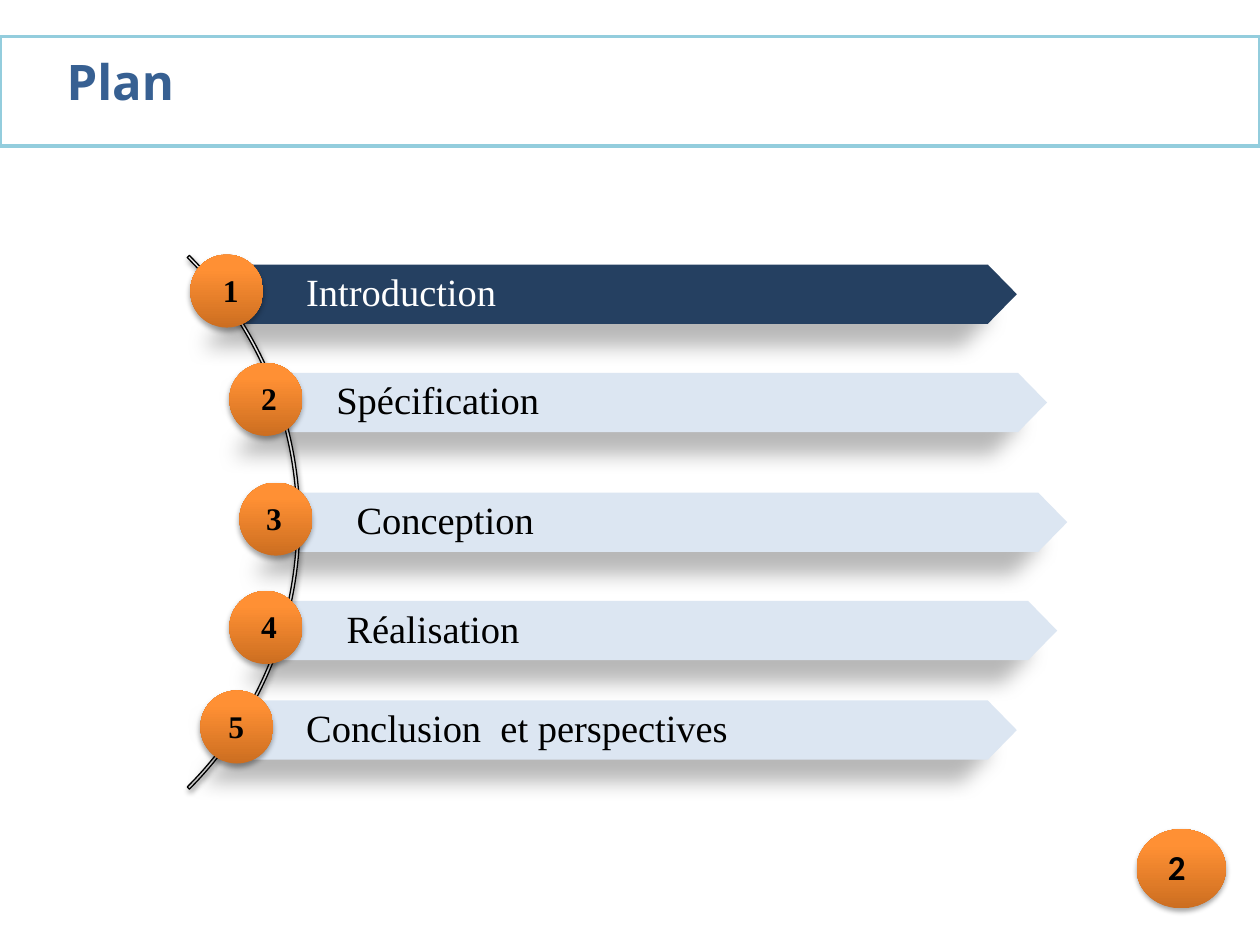
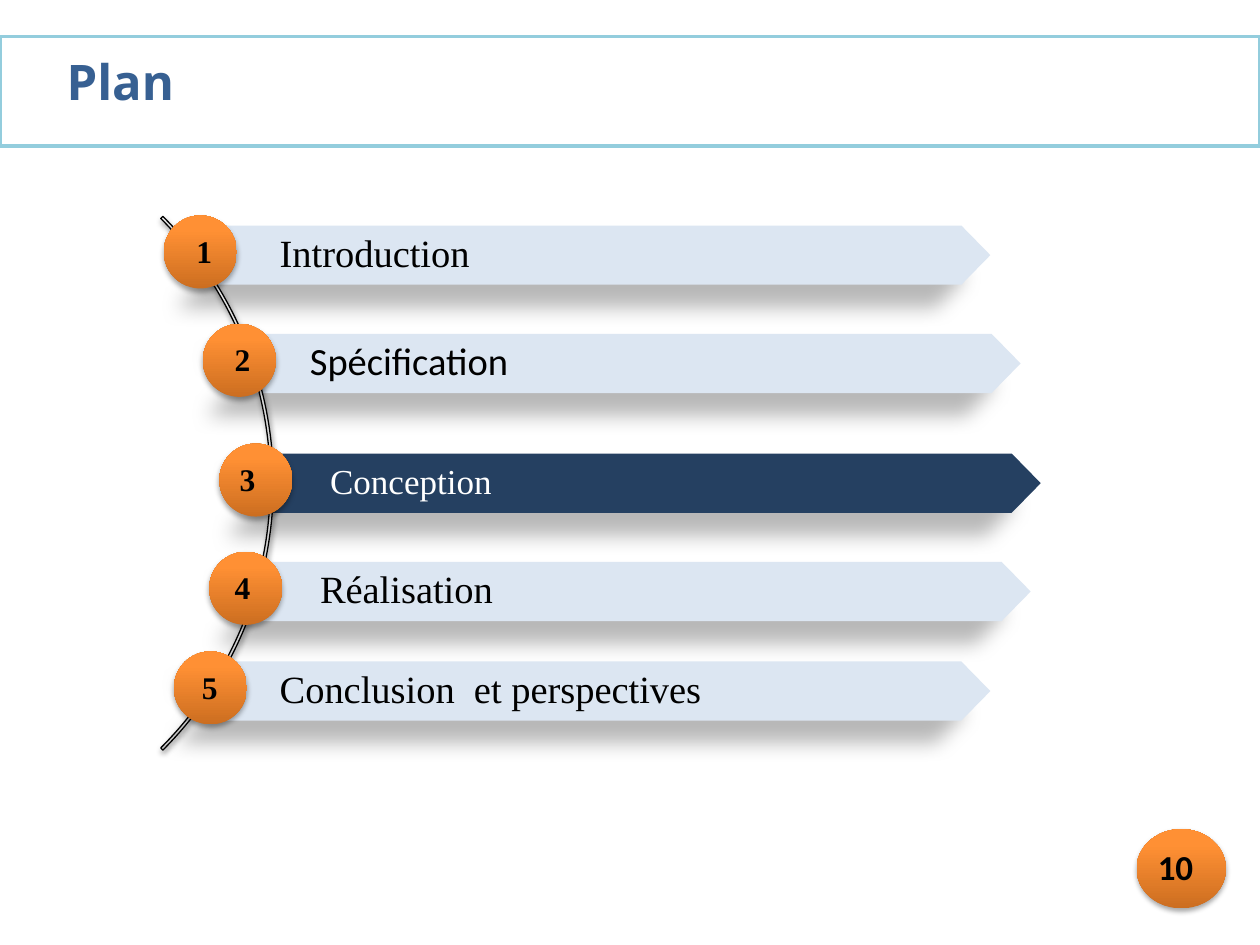
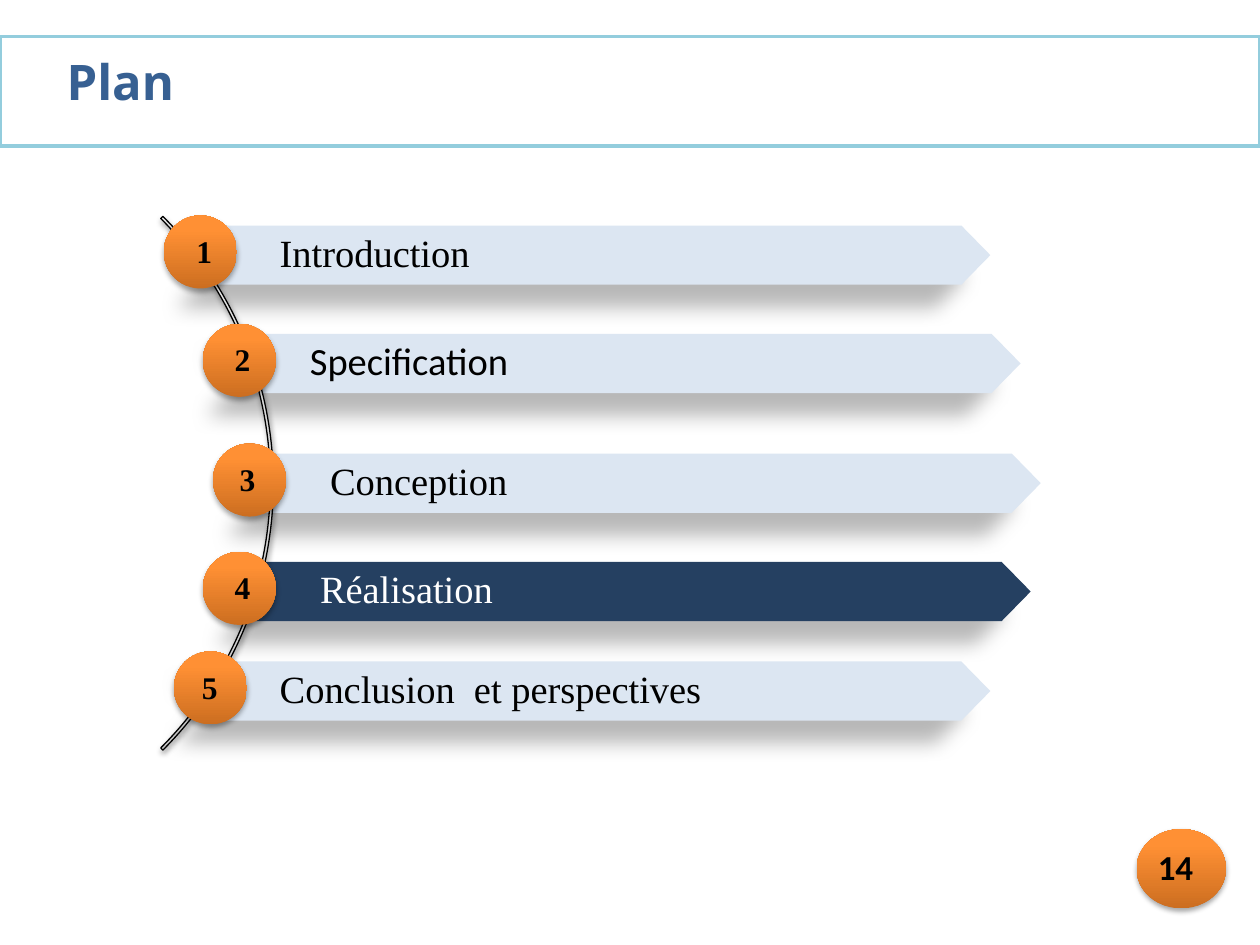
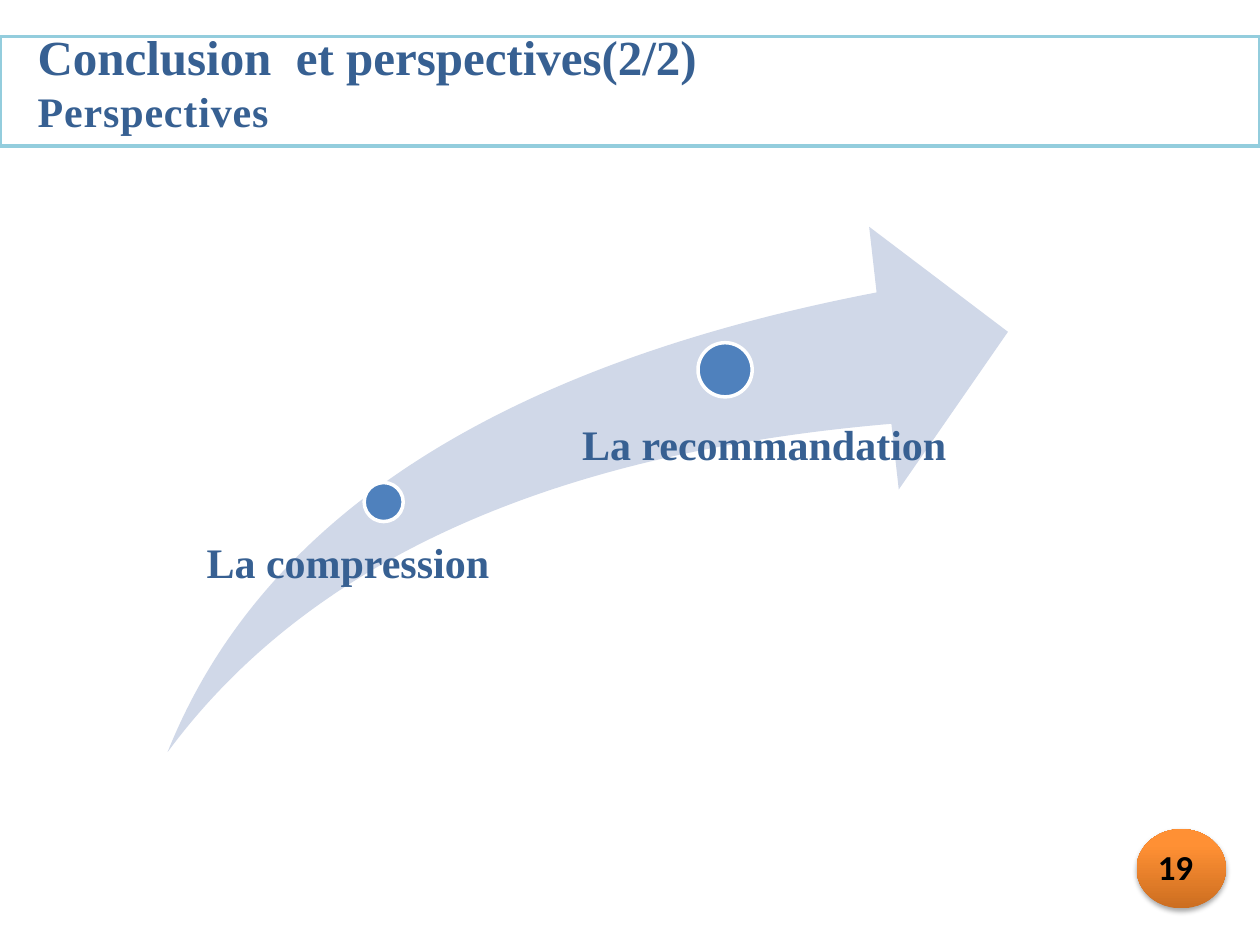
from dataclasses import dataclass, field

from lxml.etree import SubElement
from pptx import Presentation
from pptx.dml.color import RGBColor
from pptx.enum.shapes import MSO_SHAPE as Preset
from pptx.enum.text import MSO_ANCHOR as Anchor, MSO_AUTO_SIZE as AutoSize, PP_ALIGN as Align
from pptx.oxml.ns import qn
from pptx.shapes.autoshape import Shape
from pptx.slide import Slide
from pptx.text.text import TextFrame
from pptx.util import Inches, Pt


# Shared look
@dataclass(frozen=True)
class Shadow:
    opacity: int
    blur: float
    distance: float
    angle: int


@dataclass(frozen=True)
class Theme:
    white: str = "FFFFFF"
    black: str = "000000"
    navy: str = "254061"
    pale: str = "DCE6F2"
    heading: str = "376092"
    frame: str = "93CDDD"
    arrow: str = "D0D8E8"
    dot: str = "4F81BD"
    orange: tuple = ((0, "CC6E20"), (80, "FF9034"), (100, "FF9136"))
    grey: tuple = ((0, "BDBDBD"), (35, "D1D1D1"), (100, "EEEEEE"))
    serif: str = "Times New Roman"
    sans: str = "Calibri"
    display: str = "Open Sans"
    title_size: float = 28
    subtitle_size: float = 24
    label_size: float = 22
    page_size: float = 20
    number_size: float = 18
    bar_shadow: Shadow = Shadow(28, 11.8, 19.7, 141)
    disc_shadow: Shadow = Shadow(35, 3.1, 1.8, 90)
    arc_shadow: Shadow = Shadow(38, 3.1, 1.6, 90)


THEME = Theme()


# Agenda geometry, measured on the first agenda slide
@dataclass(frozen=True)
class Step:
    label: str
    left: float
    top: float
    disc_left: float
    number_left: float
    number_width: float


@dataclass(frozen=True)
class Agenda:
    page: int
    current: int
    shift: tuple[float, float] = (0, 0)
    disc_nudges: dict[int, float] = field(default_factory=dict)
    labels: dict[int, str] = field(default_factory=dict)
    fonts: dict[int, str] = field(default_factory=dict)
    sizes: dict[int, float] = field(default_factory=dict)


STEPS = (
    Step("Introduction", 1.82, 2.1, 1.51, 1.67, 0.24),
    Step("Spécification", 2.06, 2.96, 1.82, 1.9, 0.47),
    Step("Conception", 2.22, 3.91, 1.9, 1.98, 0.39),
    Step("Réalisation", 2.14, 4.77, 1.82, 1.9, 0.47),
    Step("Conclusion  et perspectives", 1.82, 5.56, 1.59, 1.67, 0.41),
)
SHIFT = (-0.21, -0.31)
AGENDAS = (
    Agenda(2, 1),
    Agenda(10, 3, SHIFT, disc_nudges={3: 0.05, 4: 0.05},
           fonts={2: THEME.sans}, sizes={3: 20}),
    Agenda(14, 4, SHIFT, labels={2: "Specification"}, fonts={2: THEME.sans}),
)
BAR_WIDTH, BAR_HEIGHT, BAR_TIP = 6.25, 0.47, 0.23
DISC_SIZE, DISC_RISE = 0.58, 0.08


# Formatting helpers
def apply_shadow(shape: Shape, shadow: Shadow | None) -> None:
    shape.shadow.inherit = False
    if shadow:
        effects = shape.element.spPr.find(qn("a:effectLst"))
        outer = SubElement(effects, qn("a:outerShdw"), blurRad=str(Pt(shadow.blur)),
                           dist=str(Pt(shadow.distance)), dir=str(shadow.angle * 60000),
                           algn="ctr", rotWithShape="0")
        color = SubElement(outer, qn("a:srgbClr"), val=THEME.black)
        SubElement(color, qn("a:alpha"), val=str(shadow.opacity * 1000))


def apply_gradient(shape: Shape, stops: tuple) -> None:
    shape.fill.gradient()
    gradient = shape.element.spPr.find(qn("a:gradFill"))
    stop_list = gradient.find(qn("a:gsLst"))
    for stop in list(stop_list):
        stop_list.remove(stop)
    for position, color in stops:
        stop = SubElement(stop_list, qn("a:gs"), pos=str(position * 1000))
        SubElement(stop, qn("a:srgbClr"), val=color)
    gradient.find(qn("a:lin")).set("ang", str(270 * 60000))


def style(shape: Shape, fill: str | tuple, line: str | None = None,
          line_width: float = 0, shadow: Shadow | None = None) -> Shape:
    if isinstance(fill, tuple):
        apply_gradient(shape, fill)
    else:
        shape.fill.solid()
        shape.fill.fore_color.rgb = RGBColor.from_string(fill)
    if line:
        shape.line.color.rgb = RGBColor.from_string(line)
        shape.line.width = Pt(line_width)
    else:
        shape.line.fill.background()
    apply_shadow(shape, shadow)
    return shape


def add_preset(slide: Slide, preset: Preset, left: float, top: float,
               width: float, height: float, fill: str | tuple, **look) -> Shape:
    shape = slide.shapes.add_shape(preset, Inches(left), Inches(top),
                                   Inches(width), Inches(height))
    return style(shape, fill, **look)


def write(frame: TextFrame, text: str, *, size: float, font: str = THEME.serif,
          color: str = THEME.black, bold: bool = False, align: Align = Align.LEFT,
          line_spacing: float | None = None, tracking: float = 0) -> None:
    para = frame.paragraphs[0]
    if para.runs:
        para = frame.add_paragraph()
    para.alignment = align
    if line_spacing:
        para.line_spacing = line_spacing
    span = para.add_run()
    span.text = text
    span.font.name = font
    span.font.size = Pt(size)
    span.font.bold = bold
    span.font.color.rgb = RGBColor.from_string(color)
    if tracking:
        span.font._element.set("spc", str(round(tracking * 100)))


def set_insets(frame: TextFrame, left: float, top: float, right: float, bottom: float) -> None:
    frame.margin_left, frame.margin_top = Inches(left), Inches(top)
    frame.margin_right, frame.margin_bottom = Inches(right), Inches(bottom)


def add_box(slide: Slide, left: float, top: float, width: float, height: float,
            grow: bool = True) -> TextFrame:
    box = slide.shapes.add_textbox(Inches(left), Inches(top), Inches(width), Inches(height))
    frame = box.text_frame
    frame.word_wrap = True
    frame.auto_size = AutoSize.SHAPE_TO_FIT_TEXT if grow else AutoSize.NONE
    return frame


# Parts found on every slide
def add_band(slide: Slide) -> None:
    add_preset(slide, Preset.RECTANGLE, 0, 0.29, 10, 0.87, THEME.white,
               line=THEME.frame, line_width=2)


def add_page_badge(slide: Slide, page: int) -> None:
    add_preset(slide, Preset.OVAL, 9.02, 6.58, 0.71, 0.63, THEME.orange,
               shadow=THEME.disc_shadow)
    left, width = (9.17, 0.39) if page < 10 else (9.09, 0.55)
    write(add_box(slide, left, 6.66, width, 0.44), str(page),
          size=THEME.page_size, font=THEME.sans, bold=True)


# Agenda parts
def add_bar(slide: Slide, left: float, top: float, fill: str) -> TextFrame:
    right, middle, bottom = left + BAR_WIDTH, top + BAR_HEIGHT / 2, top + BAR_HEIGHT
    outline = [(right - BAR_TIP, top), (right, middle), (right - BAR_TIP, bottom),
               (left, bottom), (left + BAR_TIP, middle)]
    builder = slide.shapes.build_freeform(Inches(left), Inches(top))
    builder.add_line_segments([(Inches(x), Inches(y)) for x, y in outline], close=True)
    bar = style(builder.convert_to_shape(), fill, shadow=THEME.bar_shadow)
    frame = bar.text_frame
    frame.word_wrap = True
    frame.vertical_anchor = Anchor.MIDDLE
    set_insets(frame, 0.61, 0.06, 0.3, 0.06)
    return frame


def build_agenda(slide: Slide, agenda: Agenda) -> None:
    add_band(slide)
    write(add_box(slide, 0.43, 0.36, 4.49, 0.57), "Plan", size=THEME.title_size,
          font=THEME.display, color=THEME.heading, bold=True)
    shift_x, shift_y = agenda.shift

    # Bars
    for number, step in enumerate(STEPS, 1):
        current = number == agenda.current
        frame = add_bar(slide, step.left + shift_x, step.top + shift_y,
                        THEME.navy if current else THEME.pale)
        write(frame, agenda.labels.get(number, step.label),
              size=agenda.sizes.get(number, THEME.label_size),
              font=agenda.fonts.get(number, THEME.serif),
              color=THEME.white if current else THEME.black, line_spacing=0.9)

    # Arc behind the numbered discs
    arc = add_preset(slide, Preset.BLOCK_ARC, -3.61 + shift_x, 1.15 + shift_y, 5.99, 5.99,
                     THEME.grey, line=THEME.black, line_width=0.75, shadow=THEME.arc_shadow)
    for index, value in enumerate((189, 27, 0.004)):
        arc.adjustments[index] = value

    # Numbered discs
    for number, step in enumerate(STEPS, 1):
        top = step.top + shift_y
        disc_left = step.disc_left + shift_x + agenda.disc_nudges.get(number, 0)
        add_preset(slide, Preset.OVAL, disc_left, top - DISC_RISE, DISC_SIZE, DISC_SIZE,
                   THEME.orange, shadow=THEME.disc_shadow)
        write(add_box(slide, step.number_left + shift_x, top, step.number_width, 0.4),
              str(number), size=THEME.number_size, bold=True, align=Align.CENTER)
    add_page_badge(slide, agenda.page)


# Closing slide
def build_outlook(slide: Slide) -> None:
    add_band(slide)
    title = add_box(slide, 0.2, 0.16, 6.05, 0.98)
    write(title, "Conclusion  et perspectives(2/2)", size=THEME.title_size,
          color=THEME.heading, bold=True)
    write(title, "Perspectives", size=THEME.subtitle_size, color=THEME.heading,
          bold=True, tracking=0.5)
    add_page_badge(slide, 19)

    swoosh = add_preset(slide, Preset.SWOOSH_ARROW, 1.33, 1.8, 6.67, 4.17, THEME.arrow)
    swoosh.adjustments[0] = swoosh.adjustments[1] = 0.25

    milestones = (
        ("La compression", (2.89, 3.83, 0.31), (1.41, 4.3)),
        ("La recommandation", (5.54, 2.72, 0.43), (4.39, 3.37)),
    )
    for label, (dot_left, dot_top, dot_size), (left, top) in milestones:
        add_preset(slide, Preset.OVAL, dot_left, dot_top, dot_size, dot_size, THEME.dot,
                   line=THEME.white, line_width=2)
        frame = add_box(slide, left, top, 3.64, 0.76, grow=False)
        set_insets(frame, 0.23, 0, 0, 0)
        write(frame, label, size=THEME.subtitle_size, color=THEME.heading,
              bold=True, line_spacing=0.9)


def main() -> None:
    deck = Presentation()
    deck.slide_width, deck.slide_height = Inches(10), Inches(7.5)
    blank = deck.slide_layouts[6]
    for agenda in AGENDAS:
        build_agenda(deck.slides.add_slide(blank), agenda)
    build_outlook(deck.slides.add_slide(blank))
    deck.save("out.pptx")


if __name__ == "__main__":
    main()
